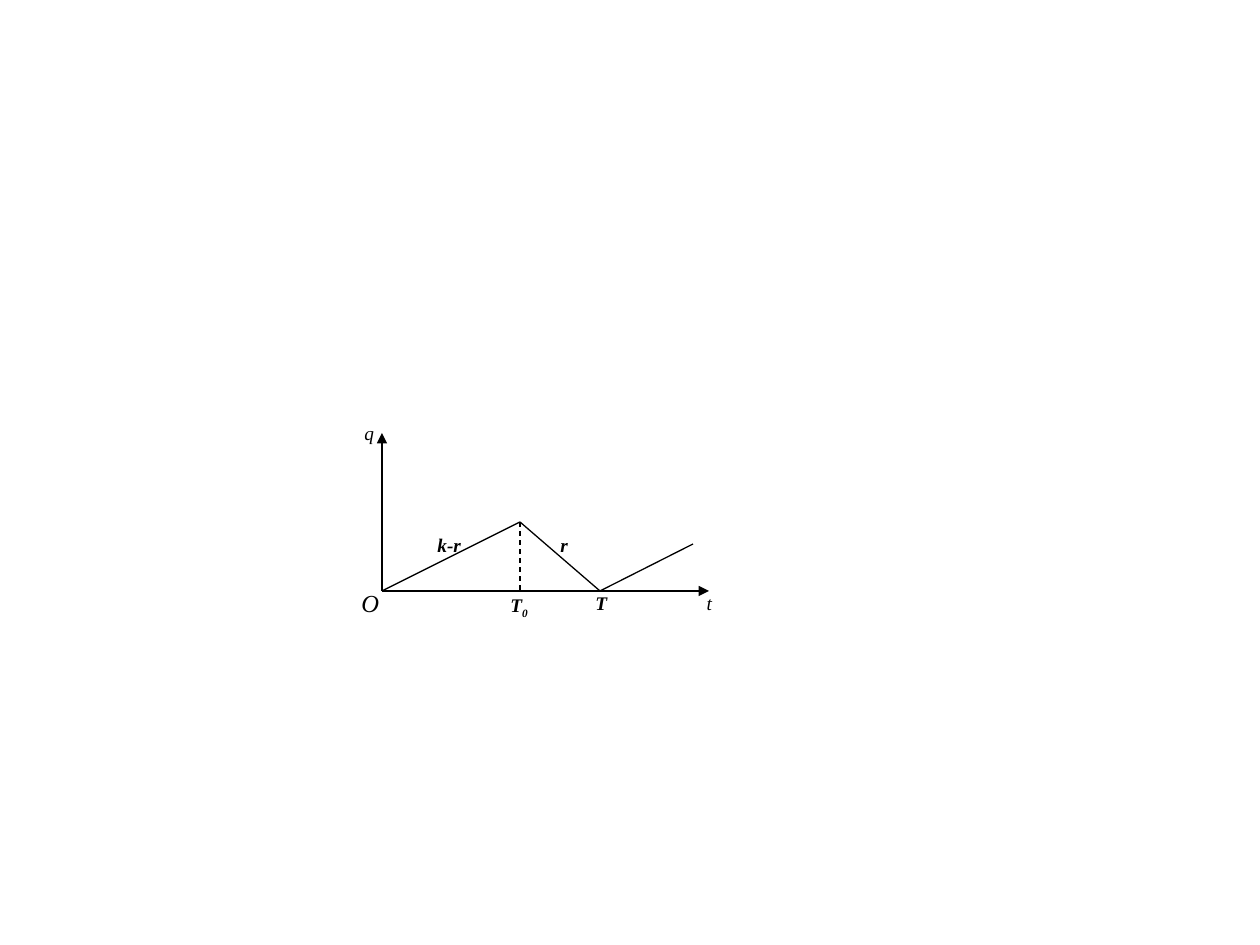
from lxml import etree
from pptx import Presentation
from pptx.dml.color import RGBColor
from pptx.enum.dml import MSO_LINE
from pptx.enum.shapes import MSO_CONNECTOR
from pptx.enum.text import MSO_AUTO_SIZE
from pptx.oxml.ns import qn
from pptx.util import Pt

EMU_PER_PX = 914400 / 126
STRAIGHT = MSO_CONNECTOR.STRAIGHT
DASH = MSO_LINE.DASH
GROW = MSO_AUTO_SIZE.SHAPE_TO_FIT_TEXT
FONT = "Times New Roman"
BLACK = "000000"


def px(length):
    """Turn pixels into EMU."""
    return round(length * EMU_PER_PX)


def color(value):
    """Turn a hex string into a colour."""
    return RGBColor.from_string(value)


def add_line(slide, start, end, arrow=False, dashed=False):
    """Draw a thin black line between two points."""
    line = slide.shapes.add_connector(STRAIGHT, *map(px, (*start, *end)))
    line.line.color.rgb = color(BLACK)
    line.line.width = Pt(0.75)
    if dashed:
        line.line.dash_style = DASH
    if arrow:
        etree.SubElement(line.line._get_or_add_ln(), qn("a:tailEnd"), type="triangle")
    etree.SubElement(line._element.spPr, qn("a:effectLst"))


def add_label(slide, text, left, top, width, height=37, size=11, bold=False, subscript=""):
    """Write an italic label with an optional subscript."""
    label = slide.shapes.add_textbox(px(left), px(top), px(width), px(height))
    frame = label.text_frame
    frame.word_wrap = True
    frame.auto_size = GROW
    paragraph = frame.paragraphs[0]
    paragraph.add_run().text = text
    if subscript:
        index = paragraph.add_run()
        index.text = subscript
        index.font._element.set("baseline", "-25000")
    font = paragraph.font
    font.name, font.size = FONT, Pt(size)
    font.italic, font.bold = True, bold
    font.color.rgb = color(BLACK)


def draw_inventory_graph(slide, left, top):
    """Draw stock q over time t, with its corner at the given place."""
    def at(x, y):
        """Give the slide position of a point in the graph."""
        return left + x, top + y

    origin, peak, cycle_end = at(33, 177), at(171, 108), at(251, 177)
    add_line(slide, origin, at(360, 177), arrow=True)
    add_line(slide, origin, at(33, 19), arrow=True)
    add_line(slide, origin, peak)
    add_line(slide, peak, cycle_end)
    add_line(slide, cycle_end, at(344, 130))
    add_line(slide, peak, at(171, 177), dashed=True)

    add_label(slide, "O", *at(0, 168), 30, 43, size=14)
    add_label(slide, "q", *at(3, 1), 30)
    add_label(slide, "t", *at(350, 171), 20)
    add_label(slide, "T", *at(234, 171), 30, bold=True)
    add_label(slide, "k-r", *at(76, 113), 110, bold=True)
    add_label(slide, "r", *at(199, 113), 30, bold=True)
    add_label(slide, "T", *at(149, 173), 49, 74, bold=True, subscript="0")


def main():
    """Build and save the presentation."""
    presentation = Presentation()
    presentation.slide_width, presentation.slide_height = px(1260), px(945)
    slide = presentation.slides.add_slide(presentation.slide_layouts[6])
    draw_inventory_graph(slide, 349, 414)
    presentation.save("out.pptx")


if __name__ == "__main__":
    main()
